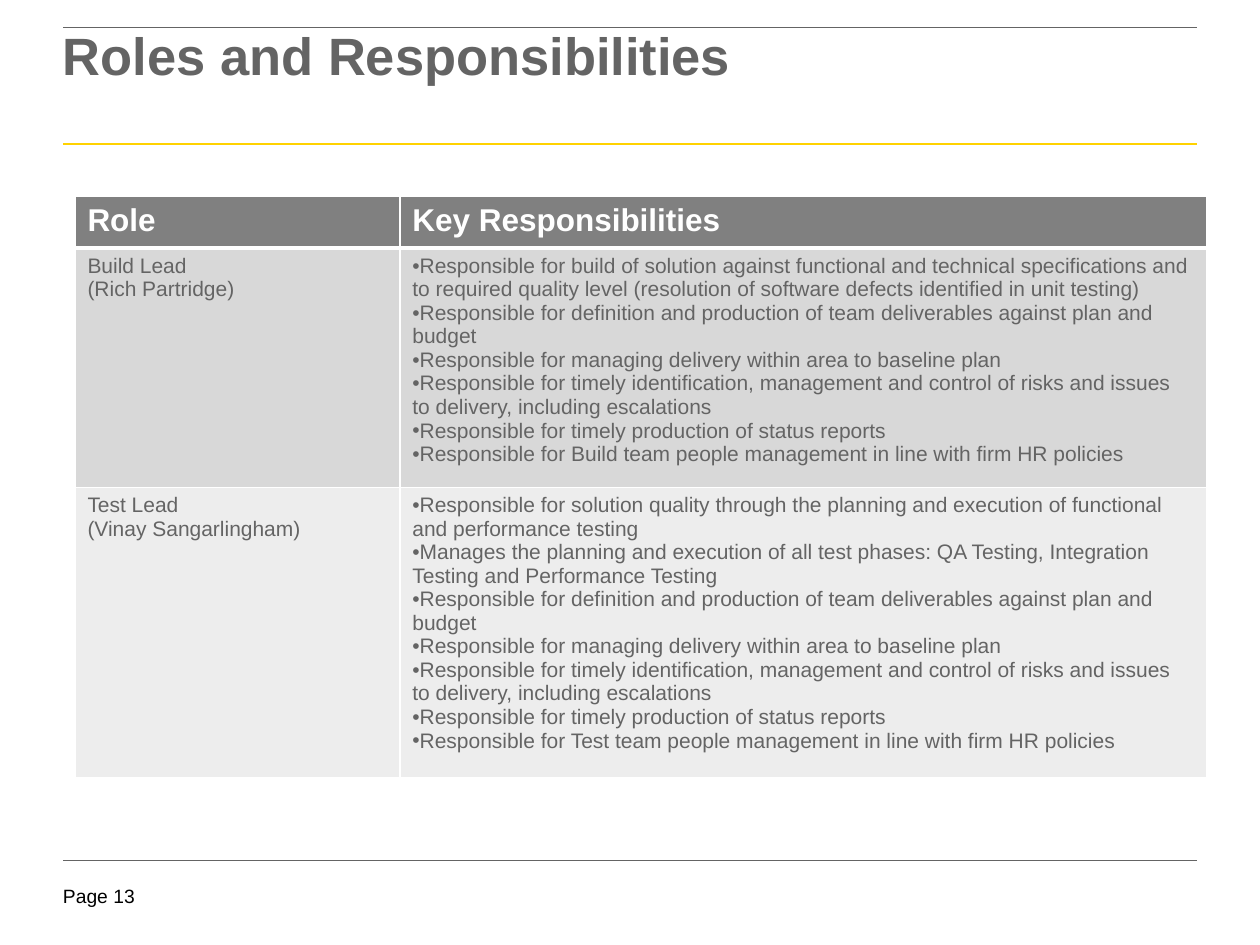
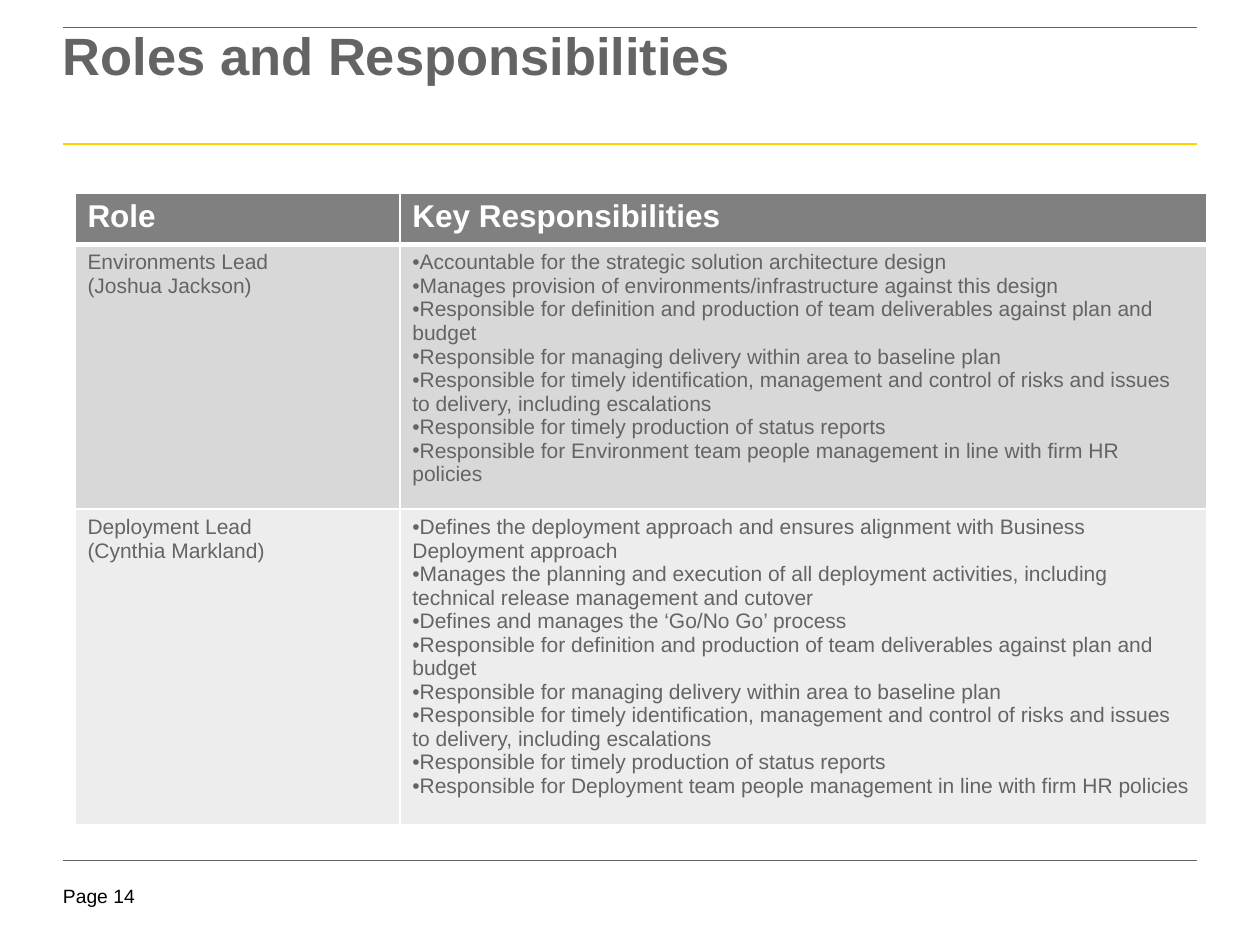
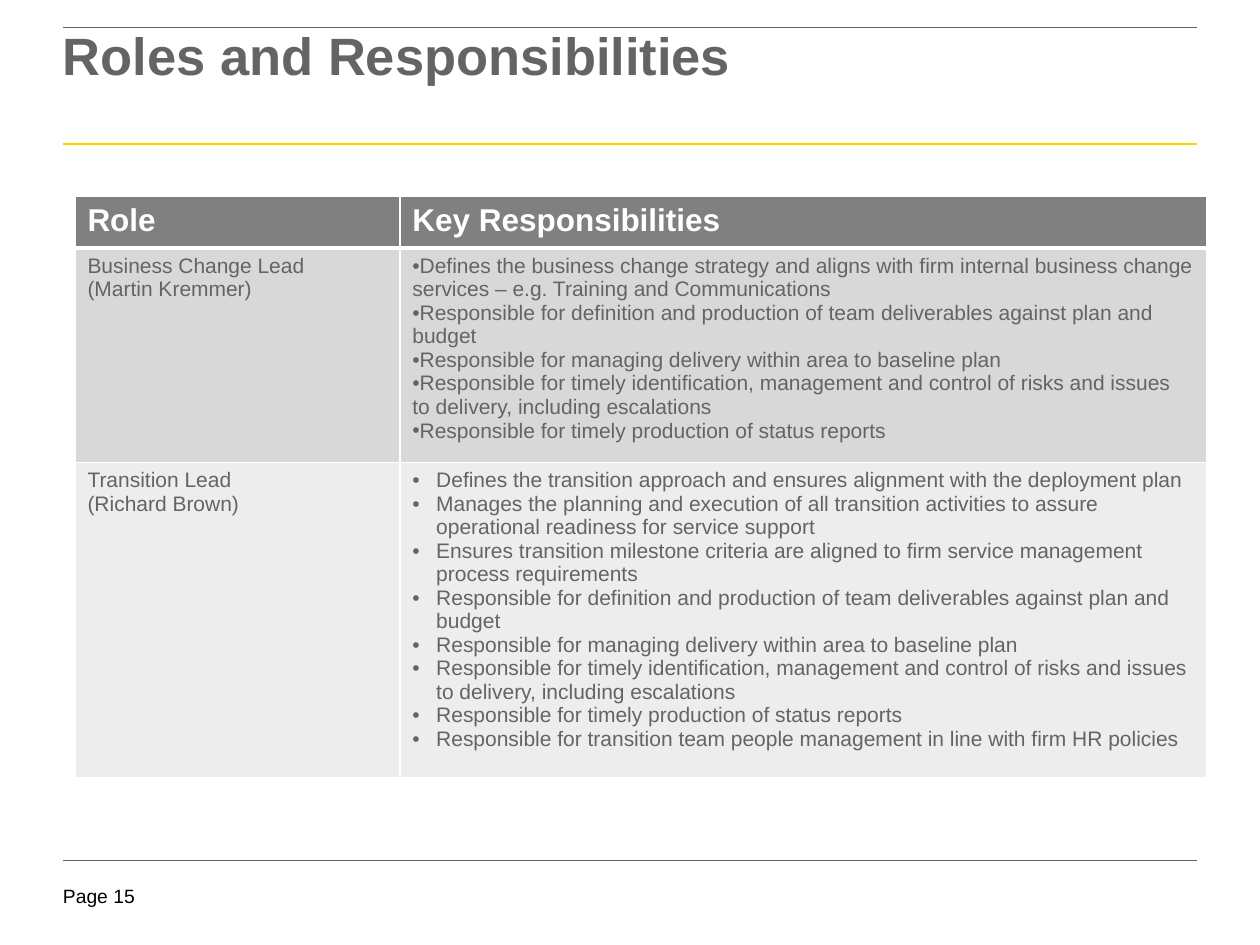
import pptx
import pptx.dml.color
import pptx.enum.shapes
import pptx.enum.text
import pptx.oxml.ns
import pptx.util
from lxml import etree

Cm = pptx.util.Cm
Pt = pptx.util.Pt
RGBColor = pptx.dml.color.RGBColor

GREY = RGBColor(0x64, 0x64, 0x64)
YELLOW = RGBColor(0xFF, 0xD2, 0x00)
BLACK = RGBColor(0x00, 0x00, 0x00)
WHITE = RGBColor(0xFF, 0xFF, 0xFF)
HEAD = RGBColor(0x80, 0x80, 0x80)
BANDS = [RGBColor(0xD8, 0xD8, 0xD8), RGBColor(0xED, 0xED, 0xED)]
FONT = "Arial"

LEFT, WIDTH = Cm(1.27), Cm(22.86)
TITLE = "Roles and Responsibilities"

# Duties that every lead shares
SHARED = [
    "Responsible for definition and production of team deliverables against plan and budget",
    "Responsible for managing delivery within area to baseline plan",
    "Responsible for timely identification, management and control of risks and issues "
    "to delivery, including escalations",
    "Responsible for timely production of status reports",
]

# Each page: number, table top, table height, then (role, person, own duties, team, indent)
PAGES = [
    (13, Cm(3.96), Cm(11.71), [
        ("Build Lead", "Rich Partridge", [
            "Responsible for build of solution against functional and technical specifications "
            "and to required quality level (resolution of software defects identified in unit testing)",
        ], "Build", 0),
        ("Test Lead", "Vinay Sangarlingham", [
            "Responsible for solution quality through the planning and execution of functional "
            "and performance testing",
            "Manages the planning and execution of all test phases: QA Testing, Integration "
            "Testing and Performance Testing",
        ], "Test", 0),
    ]),
    (14, Cm(3.89), Cm(13.23), [
        ("Environments Lead", "Joshua Jackson", [
            "Accountable for the strategic solution architecture design",
            "Manages provision of environments/infrastructure against this design",
        ], "Environment", 0),
        ("Deployment Lead", "Cynthia Markland", [
            "Defines the deployment approach and ensures alignment with Business Deployment approach",
            "Manages the planning and execution of all deployment activities, including "
            "technical release management and cutover",
            "Defines and manages the ‘Go/No Go’ process",
        ], "Deployment", 0),
    ]),
    (15, Cm(3.96), Cm(11.71), [
        ("Business Change Lead", "Martin Kremmer", [
            "Defines the business change strategy and aligns with firm internal business change "
            "services – e.g. Training and Communications",
        ], None, 0),
        ("Transition Lead", "Richard Brown", [
            "Defines the transition approach and ensures alignment with the deployment plan",
            "Manages the planning and execution of all transition activities to assure "
            "operational readiness for service support",
            "Ensures transition milestone criteria are aligned to firm service management "
            "process requirements",
        ], "transition", Cm(0.48)),
    ]),
]


def add_tag(parent, tag, **attrs):
    return etree.SubElement(parent, pptx.oxml.ns.qn(tag), attrs)


def style(frame, size, color, bold=False):
    for para in frame.paragraphs:
        for run in para.runs:
            run.font.name = FONT
            run.font.size = Pt(size)
            run.font.bold = bold
            run.font.color.rgb = color


def add_rule(slide, top, color, weight):
    line = slide.shapes.add_connector(
        pptx.enum.shapes.MSO_CONNECTOR.STRAIGHT, LEFT, top, LEFT + WIDTH, top)
    line.line.color.rgb = color
    line.line.width = Pt(weight)
    add_tag(line._element.spPr, "a:effectLst")


def add_text(slide, box, text, size, color, bold=False, inset=0):
    frame = slide.shapes.add_textbox(*box).text_frame
    frame.word_wrap = True
    frame.margin_left = frame.margin_right = frame.margin_bottom = 0
    frame.margin_top = inset
    frame.vertical_anchor = pptx.enum.text.MSO_ANCHOR.TOP
    frame.text = text
    style(frame, size, color, bold)
    return frame


def add_frame(slide, number):
    """Rules, title and page number."""
    add_text(slide, (LEFT, Cm(17.83), Cm(1.85), Cm(0.56)), f"Page {number}", 11, BLACK)
    add_rule(slide, Cm(2.9), YELLOW, 1.5)
    add_rule(slide, Cm(17.35), GREY, 0.25)
    add_rule(slide, Cm(0.56), GREY, 0.5)
    title = add_text(slide, (LEFT, Cm(0.56), WIDTH, Cm(2.39)), TITLE, 30, GREY, True, Cm(0.1))
    title.paragraphs[0].line_spacing = 0.85


def fill_cell(cell, text, size, color, fill, bold=False, top=1, base=1):
    cell.text = text
    style(cell.text_frame, size, color, bold)
    cell.fill.solid()
    cell.fill.fore_color.rgb = fill
    # Borders come before the fill in the cell properties
    props = cell._tc.get_or_add_tcPr()
    sides = [("a:lnL", 1), ("a:lnR", 1), ("a:lnT", top), ("a:lnB", base)]
    for spot, (tag, weight) in enumerate(sides):
        edge = add_tag(props, tag, w=str(Pt(weight)))
        add_tag(add_tag(edge, "a:solidFill"), "a:srgbClr", val=str(WHITE))
        props.insert(spot, edge)


def add_dots(frame, indent):
    for para in frame.paragraphs:
        props = para._p.get_or_add_pPr()
        props.set("marL", str(indent))
        props.set("indent", str(-indent))
        add_tag(props, "a:buFont", typeface=FONT)
        add_tag(props, "a:buChar", char="•")


def add_roles(slide, box, leads):
    """Table of leads and their duties."""
    shape = slide.shapes.add_table(len(leads) + 1, 2, *box)
    table = shape.table
    table.columns[0].width = Cm(6.55)
    table.columns[1].width = box[2] - Cm(6.55)
    for row in table.rows:
        row.height = Cm(1.04)
    shape.height = box[3]
    for col, text in enumerate(["Role", "Key Responsibilities"]):
        fill_cell(table.cell(0, col), text, 18, WHITE, HEAD, True, base=3)
    for row, (role, person, own, team, indent) in enumerate(leads, 1):
        duties = own + SHARED
        if team:
            duties = duties + [
                f"Responsible for {team} team people management in line with firm HR policies"]
        texts = [f"{role}\n({person})", "\n".join(duties)]
        for col, text in enumerate(texts):
            fill_cell(table.cell(row, col), text, 12, GREY, BANDS[(row - 1) % 2],
                      top=3 if row == 1 else 1)
        add_dots(table.cell(row, 1).text_frame, indent)


def main():
    deck = pptx.Presentation()
    deck.slide_width, deck.slide_height = Cm(25.4), Cm(19.05)
    for number, top, height, leads in PAGES:
        slide = deck.slides.add_slide(deck.slide_layouts[6])
        add_frame(slide, number)
        add_roles(slide, (Cm(1.51), top, Cm(22.81), height), leads)
    deck.save("out.pptx")


if __name__ == "__main__":
    main()
